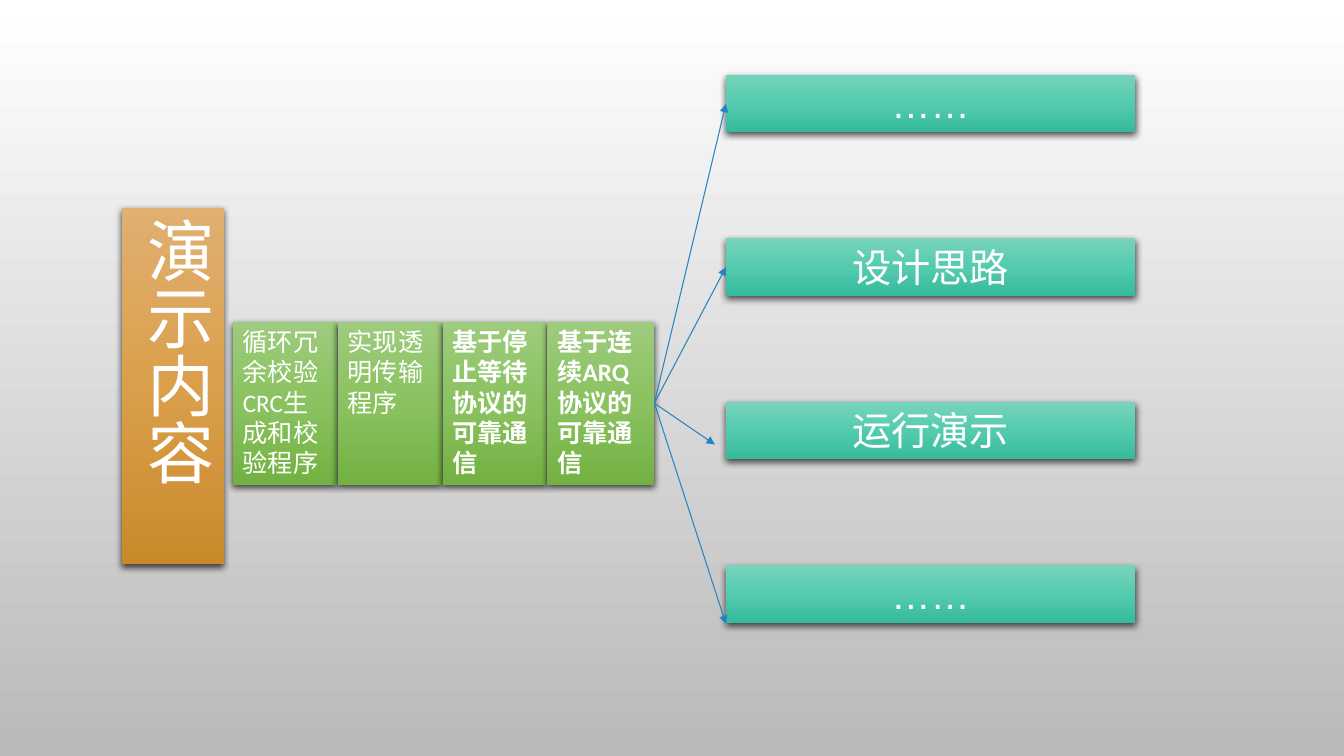
from copy import deepcopy

from lxml.etree import SubElement
from pptx import Presentation
from pptx.dml.color import RGBColor
from pptx.enum.shapes import MSO_CONNECTOR, MSO_SHAPE
from pptx.enum.text import MSO_ANCHOR, MSO_AUTO_SIZE, PP_ALIGN
from pptx.oxml import parse_xml
from pptx.oxml.ns import qn
from pptx.util import Inches, Pt

DRAWING = 'xmlns:a="http://schemas.openxmlformats.org/drawingml/2006/main"'
SHADOW = (
    f'<a:effectLst {DRAWING}><a:outerShdw blurRad="{Pt(5)}" dist="{Pt(2)}" '
    'dir="5400000" rotWithShape="0"><a:srgbClr val="000000">'
    '<a:alpha val="69000"/></a:srgbClr></a:outerShdw></a:effectLst>'
)
BACKDROP = ["FFFFFF", "B9B9B9"]
ORANGE = ["E0B071", "DA9F4B", "C98A29"]
GREEN = ["9ECC7E", "8AC25F", "73B142"]
TEAL = ["77D4BC", "54CBAF", "36BA9C"]
TOPICS = [
    (["循环冗余校验CRC生成和校验程序"], False),
    (["实现透明传输", "程序"], False),
    (["基于停止等待协议的可靠通信"], True),
    (["基于连续ARQ协议的可靠通信"], True),
]
STEPS = ["……", "设计思路", "运行演示", "……"]
ARROW_TIPS = [(7.2, 1.03), (7.2, 2.65), (7.09, 4.41), (7.2, 6.19)]


def color(value):
    """Turn a hex string into a colour."""
    return RGBColor.from_string(value)


def apply(target, values):
    """Set each named format value on the target."""
    for name, value in values.items():
        setattr(target, name, value)


def paint_gradient(fill, element, colors):
    """Fill from top to bottom with evenly spaced colours."""
    fill.gradient()
    fill.gradient_angle = 270
    stop_list = element.xpath(".//a:gsLst")[0]
    for _ in colors[2:]:
        stop_list.append(deepcopy(stop_list[-1]))
    for index, (stop, value) in enumerate(zip(fill.gradient_stops, colors)):
        stop.color.rgb = color(value)
        stop.position = index / (len(colors) - 1)


def add_block(page, box, lines, colors, font, align=PP_ALIGN.LEFT):
    """Add a shaded rectangle with one paragraph per line."""
    block = page.shapes.add_shape(MSO_SHAPE.RECTANGLE, *map(Inches, box))
    paint_gradient(block.fill, block.element, colors)
    block.line.fill.background()
    block.element.spPr.append(parse_xml(SHADOW))
    frame = block.text_frame
    apply(frame, {
        "word_wrap": True,
        "vertical_anchor": MSO_ANCHOR.TOP,
        "auto_size": MSO_AUTO_SIZE.SHAPE_TO_FIT_TEXT,
    })
    for index, line in enumerate(lines):
        para = frame.add_paragraph() if index else frame.paragraphs[0]
        para.alignment = align
        span = para.add_run()
        span.text = line
        apply(span.font, font)
        span.font.color.rgb = color("FFFFFF")
    return block


def add_title(page, box):
    """Add the vertical heading."""
    font = {"name": "Calibri", "size": Pt(48)}
    block = add_block(page, box, ["演示内容"], ORANGE, font)
    block.text_frame._txBody.bodyPr.set("vert", "eaVert")


def add_topics(page, box):
    """Add the topics side by side, the last one slightly wider."""
    left, top, width, height = box
    pitch = 1.04
    for index, (lines, bold) in enumerate(TOPICS):
        offset = index * pitch
        block_width = width - offset if index == len(TOPICS) - 1 else 1.03
        font = {"name": "Calibri", "size": Pt(18), "bold": bold}
        add_block(page, (left + offset, top, block_width, height), lines, GREEN, font)


def add_steps(page, box):
    """Add the step bars evenly down the box."""
    left, top, width, height = box
    bar_height = 0.57
    pitch = (height - bar_height) / (len(STEPS) - 1)
    font = {"name": "Arial", "size": Pt(28)}
    for index, step in enumerate(STEPS):
        bar = (left, top + index * pitch, width, bar_height)
        add_block(page, bar, [step], TEAL, font, PP_ALIGN.CENTER)


def add_arrows(page, start):
    """Fan arrows out from the start point to the steps."""
    for tip in ARROW_TIPS:
        arrow = page.shapes.add_connector(
            MSO_CONNECTOR.STRAIGHT, *map(Inches, start + tip))
        arrow.line.color.rgb = color("2683BF")
        arrow.line.width = Pt(0.75)
        SubElement(arrow.line._get_or_add_ln(), qn("a:tailEnd"), type="triangle")
        SubElement(arrow.element.spPr, qn("a:effectLst"))


def build_page(deck):
    """Compose the whole slide."""
    page = deck.slides.add_slide(deck.slide_layouts[6])
    paint_gradient(page.background.fill, page.element, BACKDROP)
    add_steps(page, (7.2, 0.74, 4.06, 5.44))
    add_title(page, (1.21, 2.06, 1.01, 3.54))
    add_topics(page, (2.31, 3.19, 4.18, 1.62))
    add_arrows(page, (6.49, 4))


deck = Presentation()
apply(deck, {"slide_width": Inches(13.33), "slide_height": Inches(7.5)})
build_page(deck)
deck.save("out.pptx")
